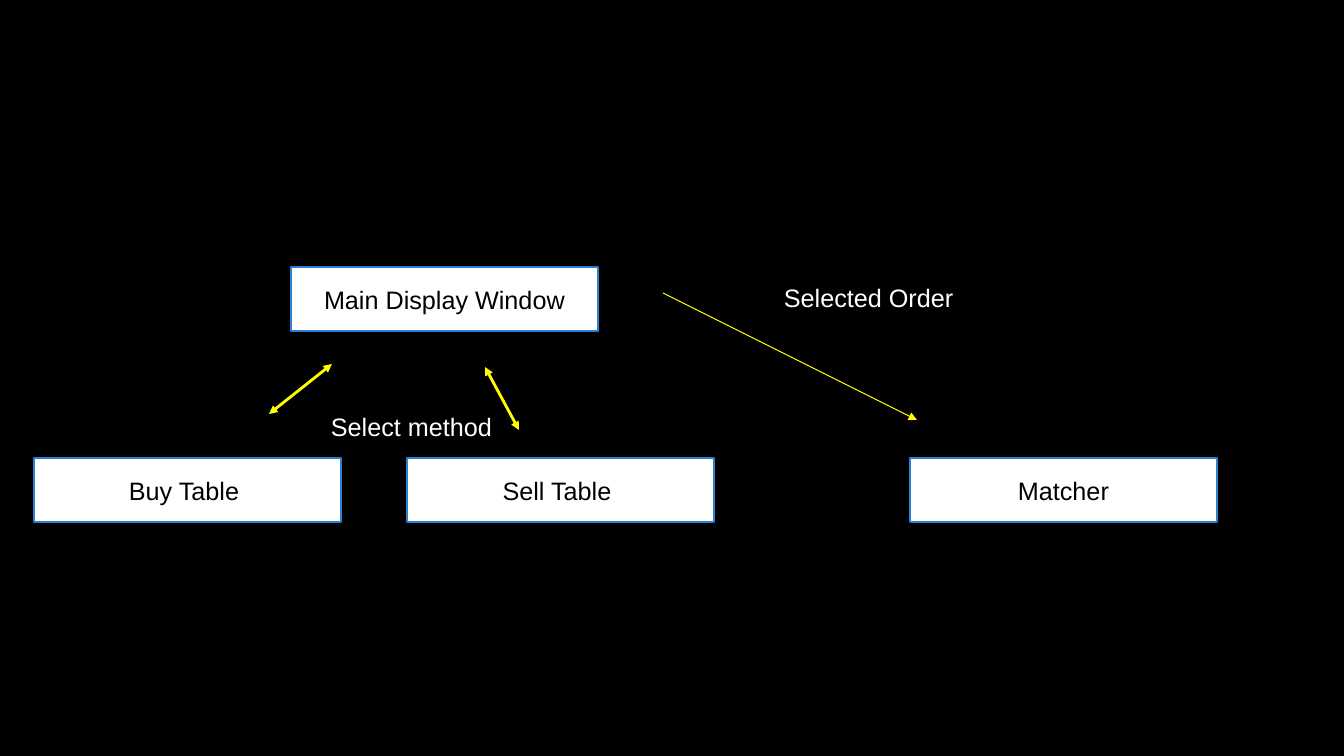
import dataclasses

import pptx
import pptx.dml.color
import pptx.enum.shapes
import pptx.enum.text
import pptx.oxml
import pptx.oxml.ns
import pptx.util

SCALE = 914400 / 100.8
BOX_W, BOX_H = 307, 64
ROW_TOP = 458


@dataclasses.dataclass(frozen=True)
class Theme:
    """Colours, font and sizes of the slide."""
    back: str = "000000"
    fill: str = "FFFFFF"
    edge: str = "297FD5"
    arrow: str = "FFFF00"
    dark: str = "000000"
    light: str = "FFFFFF"
    font: str = "Arial"
    size: int = 18
    border: float = 1.25
    thin: float = 0.75
    thick: float = 2


THEME = Theme()


def px(*vals):
    """Turn pixels into EMU lengths."""
    return [pptx.util.Emu(round(val * SCALE)) for val in vals]


def rgb(code):
    """Turn a hex code into a colour."""
    return pptx.dml.color.RGBColor.from_string(code)


def write(shape, text, color):
    """Put one styled line of text into a shape."""
    frame = shape.text_frame
    frame.text = text
    frame.word_wrap = True
    font = frame.paragraphs[0].runs[0].font
    font.name, font.size = THEME.font, pptx.util.Pt(THEME.size)
    font.color.rgb = rgb(color)
    return frame


def add_box(slide, text, left, top):
    """Add a bordered box with centred text."""
    kind = pptx.enum.shapes.MSO_SHAPE.RECTANGLE
    box = slide.shapes.add_shape(kind, *px(left, top, BOX_W, BOX_H))
    box.shadow.inherit = False
    box.fill.solid()
    box.fill.fore_color.rgb = rgb(THEME.fill)
    box.line.color.rgb = rgb(THEME.edge)
    box.line.width = pptx.util.Pt(THEME.border)
    frame = write(box, text, THEME.dark)
    frame.vertical_anchor = pptx.enum.text.MSO_ANCHOR.MIDDLE
    frame.paragraphs[0].alignment = pptx.enum.text.PP_ALIGN.CENTER


def add_label(slide, text, left, top):
    """Add a free label on the background."""
    label = slide.shapes.add_textbox(*px(left, top, 215, 40))
    write(label, text, THEME.light)


def add_arrow(slide, start, end, width, ends):
    """Add an arrow with heads at the named ends."""
    kind = pptx.enum.shapes.MSO_CONNECTOR.STRAIGHT
    arrow = slide.shapes.add_connector(kind, *px(*start, *end))
    arrow.line.color.rgb = rgb(THEME.arrow)
    arrow.line.width = pptx.util.Pt(width)
    props = arrow._element.spPr
    line = props.find(pptx.oxml.ns.qn("a:ln"))
    space = pptx.oxml.ns.nsdecls("a")
    for name in ends:
        line.append(pptx.oxml.parse_xml(f'<a:{name} {space} type="triangle"/>'))
    props.append(pptx.oxml.parse_xml(f"<a:effectLst {space}/>"))


def main():
    """Build the slide and save it."""
    deck = pptx.Presentation()
    deck.slide_width, deck.slide_height = px(1344, 756)
    slide = deck.slides.add_slide(deck.slide_layouts[6])
    slide.background.fill.solid()
    slide.background.fill.fore_color.rgb = rgb(THEME.back)

    for text, left in (("Buy Table ", 34), ("Sell Table ", 407), ("Matcher", 910)):
        add_box(slide, text, left, ROW_TOP)
    add_arrow(slide, (663, 293), (917, 420), THEME.thin, ["tailEnd"])
    add_box(slide, "Main Display Window", 291, 267)
    for start, end in (((269, 414), (332, 364)), ((519, 430), (485, 367))):
        add_arrow(slide, start, end, THEME.thick, ["headEnd", "tailEnd"])
    add_label(slide, "Selected Order", 774, 277)
    add_label(slide, "Select method", 321, 406)

    deck.save("out.pptx")


main()
